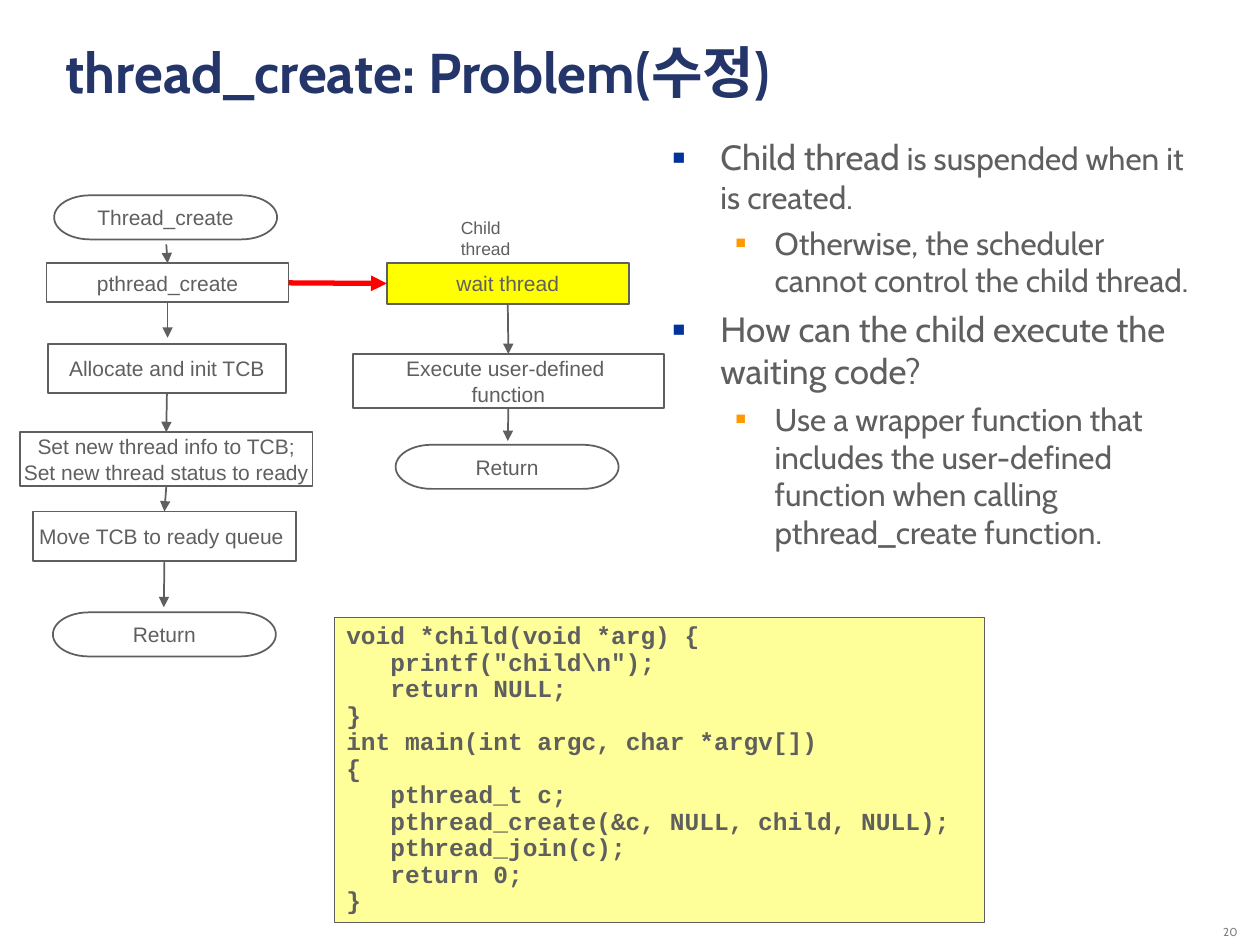
from dataclasses import dataclass

from lxml.etree import SubElement
from pptx import Presentation
from pptx.dml.color import RGBColor
from pptx.enum.shapes import MSO_CONNECTOR, MSO_SHAPE
from pptx.enum.text import MSO_ANCHOR, MSO_AUTO_SIZE, PP_ALIGN
from pptx.oxml.ns import qn
from pptx.util import Inches, Pt


@dataclass(frozen=True)
class Theme:
    ink: str = "5F5F5F"
    navy: str = "24356A"
    gray: str = "808080"
    white: str = "FFFFFF"
    wait: str = "FFFF00"
    code: str = "FFFF99"
    red: str = "FF0000"
    marks: tuple = ("003399", "FF9900")
    head: float = 32
    large: float = 20
    body: float = 18
    mono: float = 14
    node: float = 12
    label: float = 10
    page: float = 6.6
    sans: str = "Cabin"
    flow: str = "Arial"
    fixed: str = "Courier New"


theme = Theme()


def add_run(para, text, size, face, color=theme.ink, bold=False):
    run = para.add_run()
    run.text = text
    run.font.size = Pt(size)
    run.font.name = face
    run.font.bold = bold
    run.font.color.rgb = RGBColor.from_string(color)


def add_box(kind, place, fill, width):
    box = slide.shapes.add_shape(kind, *map(Inches, place))
    box.shadow.inherit = False
    box.fill.solid()
    box.fill.fore_color.rgb = RGBColor.from_string(fill)
    box.line.color.rgb = RGBColor.from_string(theme.ink)
    box.line.width = Pt(width)
    return box


deck = Presentation()
deck.slide_width, deck.slide_height = Inches(10), Inches(7.5)
slide = deck.slides.add_slide(deck.slide_layouts[5])

# Title
title = slide.shapes.title
title.left, title.top = Inches(0.42), Inches(0.25)
title.width, title.height = Inches(9.03), Inches(1.22)
frame = title.text_frame
frame.auto_size = MSO_AUTO_SIZE.NONE
frame.vertical_anchor = MSO_ANCHOR.TOP
para = frame.paragraphs[0]
para.alignment = PP_ALIGN.LEFT
add_run(para, "thread_create: Problem(수정)", theme.head, theme.sans, theme.navy, True)

# Flowchart nodes: key, shape, place, fill, lines
oval, rect = MSO_SHAPE.FLOWCHART_TERMINATOR, MSO_SHAPE.RECTANGLE
nodes = [
    ("start", oval, (0.43, 1.55, 1.77, 0.35), theme.white, ["Thread_create"]),
    ("create", rect, (0.37, 2.09, 1.92, 0.31), theme.white, ["pthread_create"]),
    ("init", rect, (0.38, 2.73, 1.89, 0.39), theme.white, ["Allocate and init TCB"]),
    ("set", rect, (0.16, 3.43, 2.32, 0.43), theme.white,
     ["Set new thread info to TCB;", "Set new thread status to ready"]),
    ("move", rect, (0.26, 4.06, 2.09, 0.39), theme.white, ["Move TCB to ready queue "]),
    ("end", oval, (0.42, 4.86, 1.77, 0.35), theme.white, ["Return"]),
    ("wait", rect, (3.07, 2.09, 1.92, 0.32), theme.wait, ["wait thread"]),
    ("run", rect, (2.8, 2.81, 2.47, 0.43), theme.white,
     ["Execute user-defined ", "function"]),
    ("done", oval, (3.14, 3.53, 1.77, 0.35), theme.white, ["Return"]),
]
boxes = {}
for key, kind, place, fill, lines in nodes:
    boxes[key] = add_box(kind, place, fill, 1)
    frame = boxes[key].text_frame
    frame.word_wrap = False
    frame.vertical_anchor = MSO_ANCHOR.MIDDLE
    for i, line in enumerate(lines):
        para = frame.add_paragraph() if i else frame.paragraphs[0]
        para.alignment = PP_ALIGN.CENTER
        add_run(para, line, theme.node, theme.flow)

# Arrows: from, to, joined start (node, side), joined end, color, width
arrows = [
    ((1.32, 1.94), (1.33, 2.09), None, ("create", 0), theme.ink, 1),
    ((1.33, 2.41), (1.33, 2.68), ("create", 2), None, theme.ink, 1),
    ((1.33, 3.12), (1.32, 3.43), ("init", 2), ("set", 0), theme.ink, 1),
    ((1.32, 3.86), (1.31, 4.06), ("set", 2), ("move", 0), theme.ink, 1),
    ((1.31, 4.46), (1.3, 4.82), ("move", 2), None, theme.ink, 1),
    ((4.03, 2.41), (4.03, 2.81), ("wait", 2), ("run", 0), theme.ink, 1),
    ((4.03, 3.24), (4.03, 3.5), ("run", 2), None, theme.ink, 1),
    ((2.29, 2.25), (3.07, 2.25), ("create", 3), ("wait", 1), theme.red, 3),
]
for tail, tip, first, last, color, width in arrows:
    link = slide.shapes.add_connector(MSO_CONNECTOR.STRAIGHT, *map(Inches, tail + tip))
    if first:
        link.begin_connect(boxes[first[0]], first[1])
    if last:
        link.end_connect(boxes[last[0]], last[1])
    link.line.color.rgb = RGBColor.from_string(color)
    link.line.width = Pt(width)
    SubElement(link.line._get_or_add_ln(), qn("a:tailEnd"), type="triangle")
    SubElement(link._element.spPr, qn("a:effectLst"))

# Label over the child's column
label = slide.shapes.add_textbox(Inches(3.56), Inches(1.67), Inches(0.94), Inches(0.27))
frame = label.text_frame
frame.word_wrap = False
frame.auto_size = MSO_AUTO_SIZE.SHAPE_TO_FIT_TEXT
add_run(frame.paragraphs[0], "Child thread", theme.label, theme.flow)

# Bullets: level, space before, runs
points = [
    (0, 4.5, [("Child thread", theme.large),
              (" is suspended when it is created.", theme.body)]),
    (1, 4.5, [("Otherwise, the scheduler cannot control the child thread.", theme.body)]),
    (0, 5, [("How can the child execute the waiting code?", theme.large)]),
    (1, 4.5, [("Use a wrapper function that includes the user-defined function "
               "when calling pthread_create function.", theme.body)]),
]
notes = slide.shapes.add_textbox(Inches(5.24), Inches(1.03), Inches(4.33), Inches(5.67))
frame = notes.text_frame
frame.word_wrap = True
for i, (level, gap, runs) in enumerate(points):
    para = frame.add_paragraph() if i else frame.paragraphs[0]
    para.level = level
    para.space_before = Pt(gap)
    props = para._p.get_or_add_pPr()
    props.set("marL", str(Inches((0.38, 0.81)[level])))
    props.set("indent", str(Inches((-0.38, -0.31)[level])))
    tint = SubElement(props, qn("a:buClr"))
    SubElement(tint, qn("a:srgbClr"), val=theme.marks[level])
    SubElement(props, qn("a:buSzPct"), val=("60000", "55000")[level])
    SubElement(props, qn("a:buFont"), typeface=theme.flow)
    SubElement(props, qn("a:buChar"), char="■")
    for text, size in runs:
        add_run(para, text, size, theme.sans)

# Code listing: indent depth, line
code = [
    (0, "void *child(void *arg) {"),
    (1, 'printf("child\\n");'),
    (1, "return NULL;"),
    (0, "}"),
    (0, "int main(int argc, char *argv[])"),
    (0, "{"),
    (1, "pthread_t c;"),
    (1, "pthread_create(&c, NULL, child, NULL);"),
    (1, "pthread_join(c);"),
    (1, "return 0;"),
    (0, "}"),
]
panel = add_box(rect, (2.65, 4.9, 5.16, 2.42), theme.code, 0.25)
frame = panel.text_frame
frame.word_wrap = True
frame.auto_size = MSO_AUTO_SIZE.SHAPE_TO_FIT_TEXT
frame.vertical_anchor = MSO_ANCHOR.TOP
for i, (depth, line) in enumerate(code):
    para = frame.add_paragraph() if i else frame.paragraphs[0]
    para.alignment = PP_ALIGN.LEFT
    para.line_spacing = 0.9
    para._p.get_or_add_pPr().set("marL", str(Inches(0.35 * depth)))
    add_run(para, line, theme.mono, theme.fixed, bold=True)

# Page number
page = slide.shapes.add_textbox(Inches(8.92), Inches(7.25), Inches(1), Inches(0.25))
frame = page.text_frame
frame.word_wrap = True
frame.vertical_anchor = MSO_ANCHOR.BOTTOM
para = frame.paragraphs[0]
para.alignment = PP_ALIGN.RIGHT
para.line_spacing = 0.8
add_run(para, "20", theme.page, theme.sans, theme.gray)

deck.save("out.pptx")
